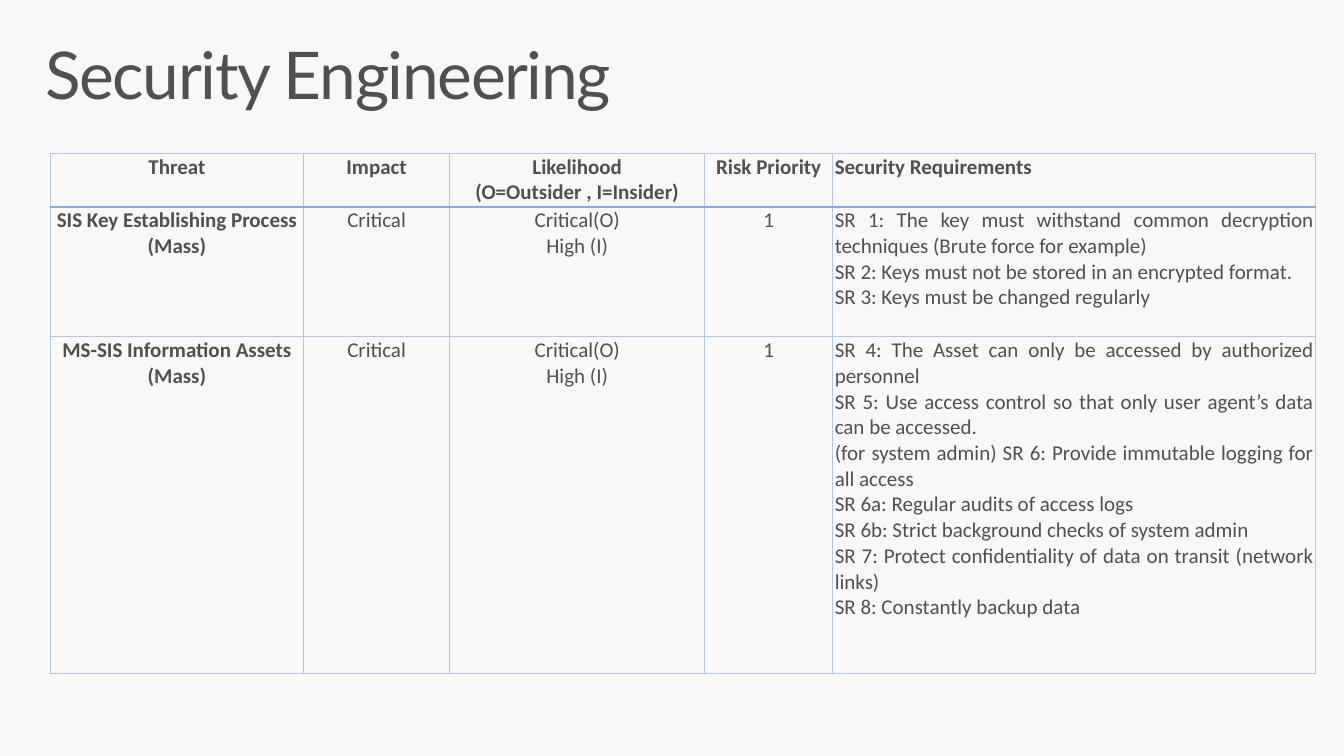
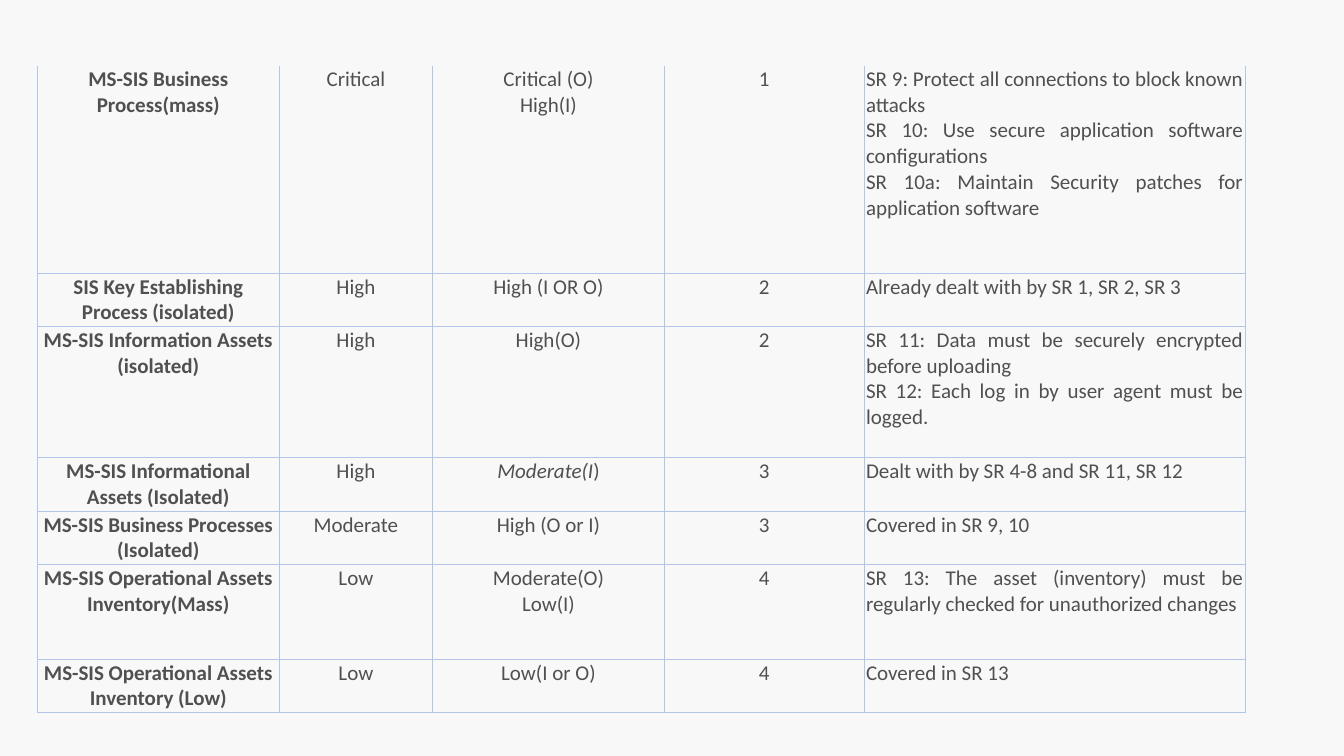
from lxml.etree import SubElement
from pptx import Presentation
from pptx.dml.color import RGBColor
from pptx.enum.text import PP_ALIGN as Align
from pptx.oxml.ns import qn
from pptx.util import Inches, Pt

BACKGROUND, INK = "F8F8F8", "505050"
THIN = ("B4C6E7", 0.75)
THICK = ("8EAADB", 1.5)
NO_LINE = None
PLAIN_TABLE = "{2D5ABB26-0587-4C30-8999-92F81FD0307C}"

# Each cell is a list of paragraphs; asterisks enclose italic words.
HEADER = (["Threat"], ["Impact"], ["Likelihood", "(O=Outsider , I=Insider)"],
          ["Risk Priority"], ["Security Requirements"])
MASS_THREATS = [
    (["SIS Key Establishing Process (Mass)"], ["Critical"],
     ["Critical(O)", "High (I)"], ["1"],
     ["SR 1: The key must withstand common decryption techniques "
      "(Brute force for example)",
      "SR 2: Keys must not be stored in an encrypted format.",
      "SR 3: Keys must be changed regularly"]),
    (["MS-SIS Information Assets (Mass)"], ["Critical"],
     ["Critical(O)", "High (I)"], ["1"],
     ["SR 4: The Asset can only be accessed by authorized personnel",
      "SR 5: Use access control so that only user agent’s data can be accessed.",
      "(for system admin) SR 6: Provide immutable logging for all access",
      "SR 6a: Regular audits of access logs",
      "SR 6b: Strict background checks of system admin",
      "SR 7: Protect confidentiality of data on transit (network links)",
      "SR 8: Constantly backup data"]),
]
OTHER_THREATS = [
    (["MS-SIS Business Process(mass)"], ["Critical"],
     ["Critical (O)", "High(I)"], ["1"],
     ["SR 9: Protect all connections to block known attacks",
      "SR 10: Use secure application software configurations",
      "SR 10a: Maintain Security patches for application software"]),
    (["SIS Key Establishing Process (isolated)"], ["High"],
     ["High (I OR O)"], ["2"], ["Already dealt with by SR 1, SR 2, SR 3"]),
    (["MS-SIS Information Assets (isolated)"], ["High"], ["High(O)"], ["2"],
     ["SR 11: Data must be securely encrypted before uploading",
      "SR 12: Each log in by user agent must be logged."]),
    (["MS-SIS Informational Assets (Isolated)"], ["High"],
     ["*Moderate(I*)"], ["3"], ["Dealt with by SR 4-8 and SR 11, SR 12"]),
    (["MS-SIS Business Processes (Isolated)"], ["Moderate"],
     ["High (O or I)"], ["3"], ["Covered in SR 9, 10"]),
    (["MS-SIS Operational Assets Inventory(Mass)"], ["Low"],
     ["Moderate(O)", "Low(I)"], ["4"],
     ["SR 13: The asset (inventory) must be regularly checked for "
      "unauthorized changes"]),
    (["MS-SIS Operational Assets Inventory (Low)"], ["Low"],
     ["Low(I or O)"], ["4"], ["Covered in SR 13"]),
]
SLIDES = [
    {"title": "Security Engineering", "header": HEADER, "threats": MASS_THREATS,
     "corner": (0.5, 1.52), "columns": (2.51, 1.45, 2.53, 1.27, 4.79),
     "heights": (0.53, 1.29, 3.34)},
    {"title": None, "header": None, "threats": OTHER_THREATS,
     "corner": (0.37, 0.65), "columns": (2.4, 1.52, 2.3, 1.98, 3.78),
     "heights": (2.06, 0.53, 1.3, 0.53, 0.53, 0.94, 0.53)},
]


def color(value):
    return RGBColor.from_string(value)


def set_font(font, name, size, bold=False):
    font.name, font.size, font.bold = name, Pt(size), bold
    font.color.rgb = color(INK)


def add_title(slide, text):
    box = slide.shapes.add_textbox(Inches(0.29), Inches(0.32), Inches(12.75), Inches(0.98))
    frame = box.text_frame
    frame.word_wrap = True
    frame.margin_left = frame.margin_right = Inches(0.16)
    frame.margin_top = frame.margin_bottom = Inches(0.1)
    para = frame.paragraphs[0]
    para.line_spacing = 0.9
    span = para.add_run()
    span.text = text
    set_font(span.font, "Lato", 47)
    span.font._element.set("spc", "-100")


def set_borders(cell, top, bottom):
    properties = cell._tc.get_or_add_tcPr()
    for side, line in (("L", THIN), ("R", THIN), ("T", top), ("B", bottom)):
        border = SubElement(properties, qn(f"a:ln{side}"))
        if line is NO_LINE:
            SubElement(border, qn("a:noFill"))
            continue
        shade, width = line
        border.set("w", str(Pt(width)))
        fill = SubElement(border, qn("a:solidFill"))
        SubElement(fill, qn("a:srgbClr"), val=shade)


def fill_cell(cell, paragraphs, align, bold):
    cell.margin_left = cell.margin_right = Inches(0.02)
    cell.margin_top = cell.margin_bottom = Inches(0.01)
    cell.fill.background()
    frame = cell.text_frame
    for index, text in enumerate(paragraphs):
        para = frame.add_paragraph() if index else frame.paragraphs[0]
        para.alignment = align
        set_font(para.font, "Calibri", 15, bold)
        for part, words in enumerate(text.split("*")):
            if words:
                span = para.add_run()
                span.text = words
                if part % 2:
                    span.font.italic = True


def add_threat_table(slide, header, threats, corner, columns, heights):
    rows = [header, *threats] if header else threats
    left, top = corner
    frame = slide.shapes.add_table(
        len(rows), len(columns), Inches(left), Inches(top),
        Inches(sum(columns)), Inches(sum(heights)))
    table = frame.table
    table.first_row = table.horz_banding = False
    table._tbl.tblPr.find(qn("a:tableStyleId")).text = PLAIN_TABLE
    for column, width in zip(table.columns, columns):
        column.width = Inches(width)
    # A table without a header continues the one before, so its top stays open.
    lines = [THIN, THICK] if header else [NO_LINE, THIN]
    lines += [THIN] * (len(rows) - 1)
    for r, (row, height) in enumerate(zip(rows, heights)):
        table.rows[r].height = Inches(height)
        for c, paragraphs in enumerate(row):
            cell = table.cell(r, c)
            set_borders(cell, lines[r], lines[r + 1])
            align = Align.JUSTIFY if c == len(columns) - 1 else Align.CENTER
            fill_cell(cell, paragraphs, align, bold=c == 0 or row is header)


def main():
    deck = Presentation()
    deck.slide_width, deck.slide_height = Inches(13.33), Inches(7.5)
    backdrop = deck.slide_master.background.fill
    backdrop.solid()
    backdrop.fore_color.rgb = color(BACKGROUND)
    for content in SLIDES:
        slide = deck.slides.add_slide(deck.slide_layouts[6])
        if content["title"]:
            add_title(slide, content["title"])
        add_threat_table(slide, content["header"], content["threats"],
                         content["corner"], content["columns"], content["heights"])
    deck.save("out.pptx")


if __name__ == "__main__":
    main()
